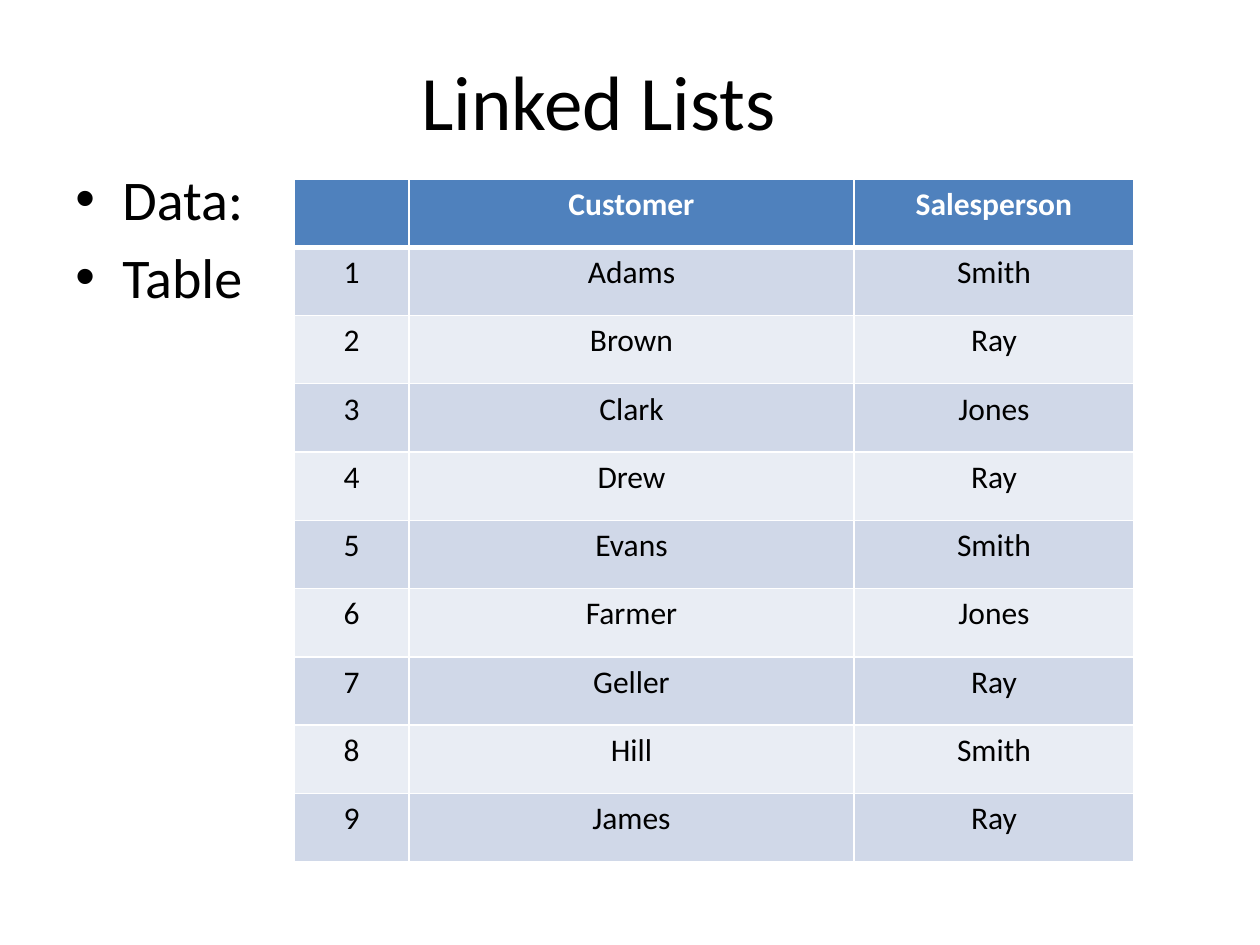
import pptx
import pptx.util
import pptx.dml.color
import pptx.enum.text
import pptx.oxml.ns
import lxml.etree

TITLE = "Linked Lists"
BULLETS = ["Data:", "Table "]
HEADER = ["", "Customer", "Salesperson"]
SALES = [
    ("Adams", "Smith"), ("Brown", "Ray"), ("Clark", "Jones"),
    ("Drew", "Ray"), ("Evans", "Smith"), ("Farmer", "Jones"),
    ("Geller", "Ray"), ("Hill", "Smith"), ("James", "Ray"),
]
COLUMN_WIDTHS = [115, 445, 280]
TABLE_LEFT, TABLE_TOP, TABLE_HEIGHT = 294, 179, 683
HEADER_FILL, BAND_FILLS = "4F81BD", ["D0D8E8", "E9EDF4"]
BLACK, WHITE = "000000", "FFFFFF"
FONT = "Calibri"
CENTER = pptx.enum.text.PP_ALIGN.CENTER
LEFT = pptx.enum.text.PP_ALIGN.LEFT


def px(pixels):
    """Turn pixels at 126 to the inch into EMU."""
    return pptx.util.Emu(round(pixels * 914400 / 126))


def color(hex_value):
    """Turn a hex string into a colour."""
    return pptx.dml.color.RGBColor.from_string(hex_value)


def add_element(parent, tag, **attributes):
    """Append a drawing element to a parent and return it."""
    element = lxml.etree.SubElement(parent, pptx.oxml.ns.qn(tag))
    for name, value in attributes.items():
        element.set(name, str(value))
    return element


def write(paragraph, text, size=18, fill=BLACK, bold=False, align=CENTER):
    """Write formatted text into a paragraph."""
    paragraph.alignment = align
    if not text:
        return
    run = paragraph.add_run()
    run.text = text
    run.font.name = FONT
    run.font.size = pptx.util.Pt(size)
    run.font.bold = bold
    run.font.color.rgb = color(fill)


def add_bullet(paragraph):
    """Give a paragraph a hanging bullet and space above."""
    paragraph.space_before = pptx.util.Pt(6.4)
    properties = paragraph._p.get_or_add_pPr()
    properties.set("marL", str(px(47)))
    properties.set("indent", str(-px(47)))
    add_element(properties, "a:buFont", typeface="Arial")
    add_element(properties, "a:buChar", char="•")


def add_borders(cell, **widths):
    """Draw white cell borders, with widths in points by side."""
    properties = cell._tc.get_or_add_tcPr()
    for side in ("L", "R", "T", "B"):
        width = pptx.util.Pt(widths.get(side, 1))
        line = add_element(properties, "a:ln" + side, w=int(width))
        add_element(add_element(line, "a:solidFill"), "a:srgbClr", val=WHITE)


presentation = pptx.Presentation()
presentation.slide_width, presentation.slide_height = px(1260), px(945)
slide = presentation.slides.add_slide(presentation.slide_layouts[5])

title = slide.shapes.title
title.left, title.top, title.width, title.height = px(32), px(21), px(1134), px(158)
title.text_frame.vertical_anchor = pptx.enum.text.MSO_ANCHOR.MIDDLE
write(title.text_frame.paragraphs[0], TITLE, size=44)

body = slide.shapes.add_textbox(px(63), px(158), px(1134), px(687))
frame = body.text_frame
frame.word_wrap = True
for index, bullet in enumerate(BULLETS):
    paragraph = frame.add_paragraph() if index else frame.paragraphs[0]
    write(paragraph, bullet, size=32, align=LEFT)
    add_bullet(paragraph)

rows = [HEADER] + [(str(number), *sale) for number, sale in enumerate(SALES, 1)]
table = slide.shapes.add_table(
    len(rows), len(HEADER), px(TABLE_LEFT), px(TABLE_TOP),
    px(sum(COLUMN_WIDTHS)), px(TABLE_HEIGHT)).table
for column, width in zip(table.columns, COLUMN_WIDTHS):
    column.width = px(width)
for row_index, values in enumerate(rows):
    is_header = row_index == 0
    table.rows[row_index].height = px(TABLE_HEIGHT / len(rows))
    for column_index, value in enumerate(values):
        cell = table.cell(row_index, column_index)
        add_borders(cell, B=3 if is_header else 1, T=3 if row_index == 1 else 1)
        cell.fill.solid()
        cell.fill.fore_color.rgb = color(
            HEADER_FILL if is_header else BAND_FILLS[(row_index - 1) % 2])
        write(cell.text_frame.paragraphs[0], value,
              fill=WHITE if is_header else BLACK, bold=is_header)

presentation.save("out.pptx")
